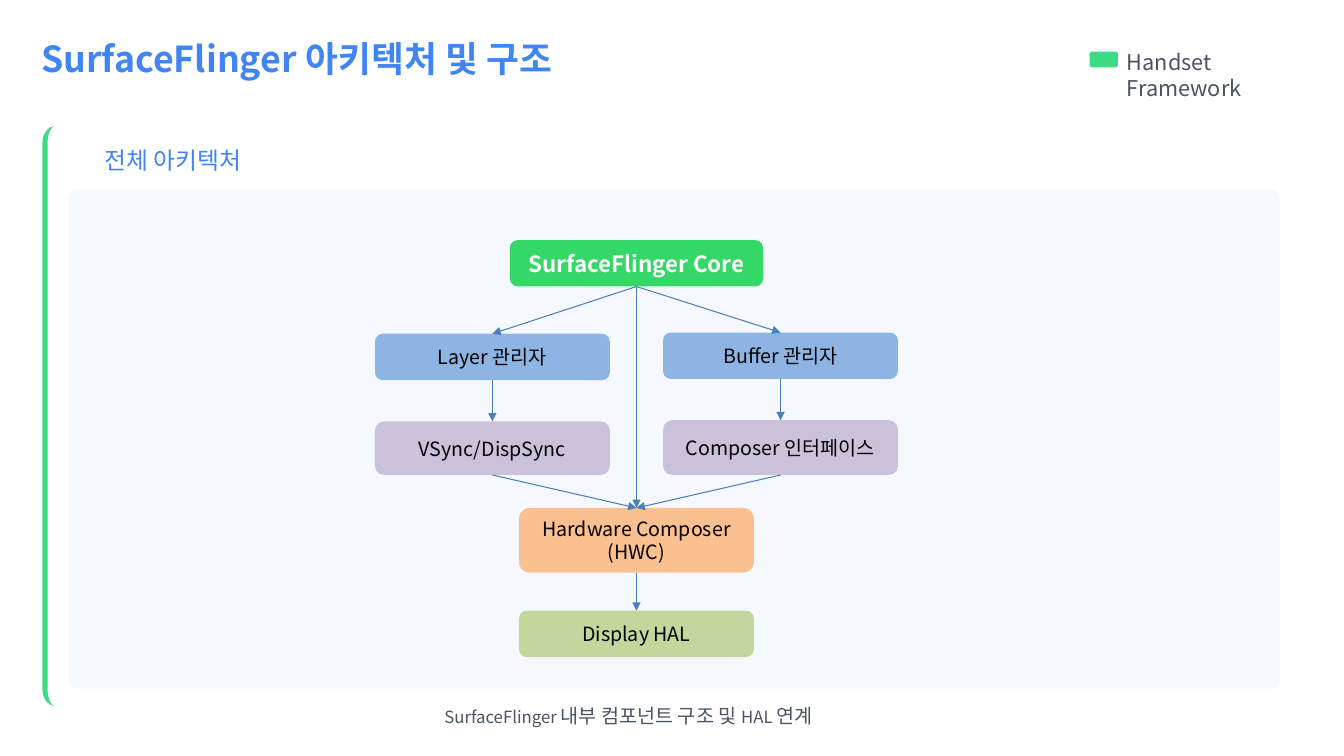
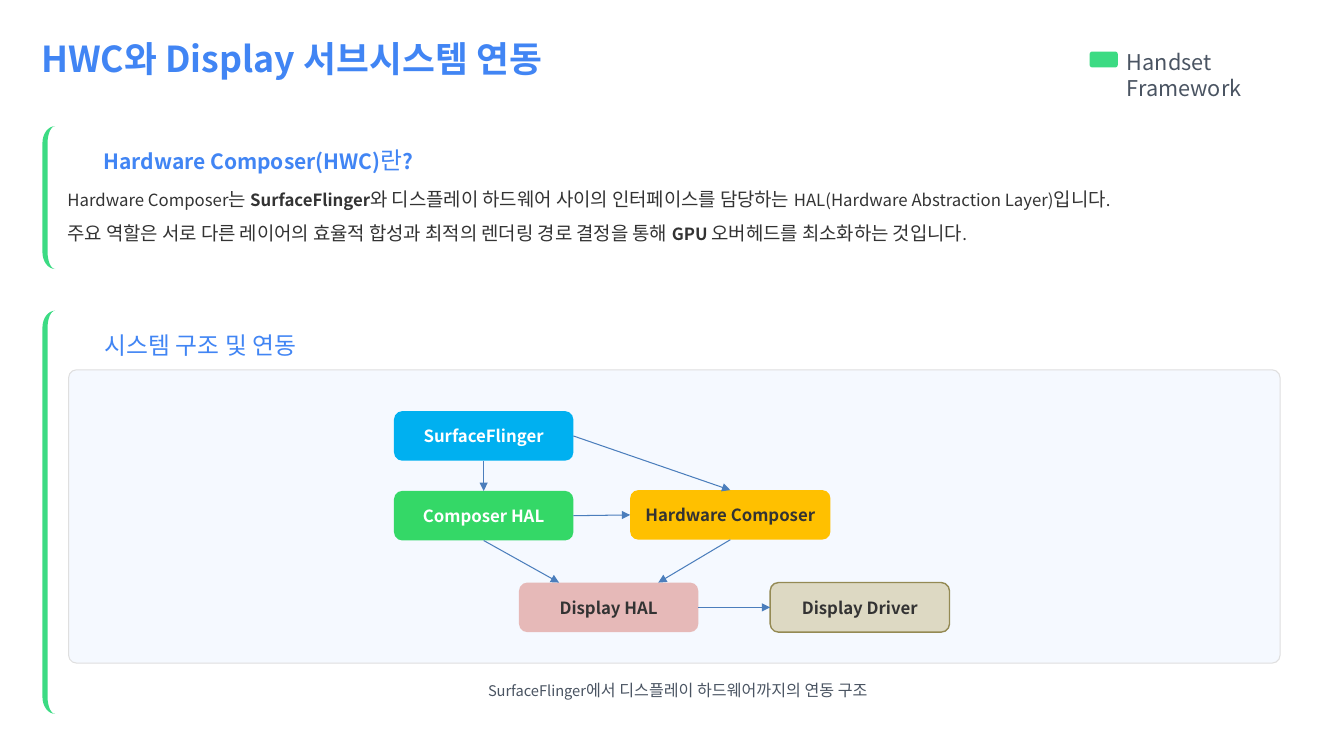
from dataclasses import dataclass
from math import cos, pi, sin
from typing import NamedTuple, Optional

from lxml import etree
from pptx import Presentation
from pptx.dml.color import RGBColor
from pptx.enum.shapes import MSO_CONNECTOR as Connector, MSO_SHAPE as Preset
from pptx.enum.text import MSO_ANCHOR as Anchor, PP_ALIGN as Align
from pptx.oxml.ns import qn
from pptx.shapes.autoshape import Shape
from pptx.slide import Slide
from pptx.util import Cm, Pt

FONT = "Noto Sans CJK KR"
BLUE = RGBColor(0x41, 0x85, 0xF4)
GREEN = RGBColor(0x3C, 0xDB, 0x83)
GRAY = RGBColor(0x4A, 0x54, 0x62)
DARK = RGBColor(0x33, 0x33, 0x33)
BLACK = RGBColor(0x00, 0x00, 0x00)
WHITE = RGBColor(0xFF, 0xFF, 0xFF)
PANEL = RGBColor(0xF5, 0xF9, 0xFF)
PANEL_LINE = RGBColor(0xDF, 0xDF, 0xDF)
ARROW_LINE = RGBColor(0x4B, 0x7E, 0xBC)
CORE = RGBColor(0x34, 0xD8, 0x67)
MANAGER = RGBColor(0x8E, 0xB4, 0xE3)
LILAC = RGBColor(0xCC, 0xC1, 0xDA)
ORANGE = RGBColor(0xFA, 0xC0, 0x90)
OLIVE = RGBColor(0xC3, 0xD6, 0x9B)
SKY = RGBColor(0x00, 0xB0, 0xF0)
AMBER = RGBColor(0xFF, 0xC0, 0x00)
ROSE = RGBColor(0xE6, 0xB9, 0xB8)
SAND = RGBColor(0xDD, 0xD9, 0xC3)
SAND_LINE = RGBColor(0x94, 0x8A, 0x54)

TOP, LEFT, BOTTOM, RIGHT = range(4)  # connection sites of a rounded rectangle


class Area(NamedTuple):
    """Left, top, width and height in centimetres."""
    left: float
    top: float
    width: float
    height: float

    def lengths(self) -> list[Cm]:
        return [Cm(value) for value in self]


class Run(NamedTuple):
    text: str
    size: float
    color: RGBColor
    bold: bool = False


@dataclass(frozen=True)
class Line:
    """One paragraph; indent in centimetres, space before in points."""
    runs: list[Run]
    indent: float = 0
    before: float = 0


@dataclass(frozen=True)
class Box:
    area: Area
    label: Run
    fill: RGBColor
    outline: Optional[RGBColor] = None


@dataclass(frozen=True)
class Arrow:
    """Link between two named boxes; shift moves its end off the centre of the top edge."""
    start: str
    end: str
    start_site: int = BOTTOM
    end_site: int = TOP
    shift: float = 0


def add_run(paragraph, run: Run) -> None:
    text_run = paragraph.add_run()
    text_run.text = run.text
    font = text_run.font
    for name, value in {"name": FONT, "size": Pt(run.size), "bold": run.bold}.items():
        setattr(font, name, value)
    font.color.rgb = run.color
    latin = text_run._r.rPr.find(qn("a:latin"))
    east_asian = etree.Element(qn("a:ea"), typeface=FONT)
    latin.addnext(east_asian)


def add_text(slide: Slide, area: Area, lines: list[Line]) -> None:
    frame = slide.shapes.add_textbox(*area.lengths()).text_frame
    settings = {"word_wrap": True, "margin_left": 0, "margin_right": 0,
                "margin_top": Cm(0.05), "margin_bottom": 0}
    for name, value in settings.items():
        setattr(frame, name, value)
    for index, line in enumerate(lines):
        paragraph = frame.add_paragraph() if index else frame.paragraphs[0]
        if line.indent:
            paragraph._p.get_or_add_pPr().set("marL", str(Cm(line.indent)))
        if line.before:
            paragraph.space_before = Pt(line.before)
        for run in line.runs:
            add_run(paragraph, run)


def paint(shape: Shape, fill: RGBColor, outline: Optional[RGBColor] = None,
          line_width: float = 1) -> None:
    shape.shadow.inherit = False
    shape.fill.solid()
    shape.fill.fore_color.rgb = fill
    if outline is None:
        shape.line.fill.background()
    else:
        shape.line.color.rgb = outline
        shape.line.width = Pt(line_width)


def add_rounded(slide: Slide, area: Area) -> Shape:
    return slide.shapes.add_shape(Preset.ROUNDED_RECTANGLE, *area.lengths())


def add_panel(slide: Slide, area: Area, outline: Optional[RGBColor] = None) -> None:
    panel = add_rounded(slide, area)
    panel.adjustments[0] = 0.2 / area.height
    paint(panel, PANEL, outline, 0.75)


def add_accent(slide: Slide, top: float, height: float) -> None:
    """Green bar at the left of a section, curling inwards at both ends."""
    left, reach, thickness, curl, steps = 1.07, 0.32, 0.13, 0.43, 8

    def side(edge: float, radius: float) -> list[tuple[int, int]]:
        angles = [pi / 2 * step / steps for step in range(steps + 1)]
        upper = [(edge + radius * (1 - sin(angle)), top + curl * (1 - cos(angle)))
                 for angle in angles]
        lower = [(x, 2 * top + height - y) for x, y in reversed(upper)]
        return [(Cm(x), Cm(y)) for x, y in upper + lower]

    outer = side(left, reach)
    inner = side(left + thickness, reach - thickness)
    builder = slide.shapes.build_freeform(*outer[0], scale=1.0)
    builder.add_line_segments(outer[1:] + inner[::-1], close=True)
    paint(builder.convert_to_shape(), GREEN)


def add_box(slide: Slide, box: Box) -> Shape:
    shape = add_rounded(slide, box.area)
    paint(shape, box.fill, box.outline)
    frame = shape.text_frame
    frame.word_wrap = True
    frame.vertical_anchor = Anchor.MIDDLE
    paragraph = frame.paragraphs[0]
    paragraph.alignment = Align.CENTER
    add_run(paragraph, box.label)
    return shape


def add_arrow(slide: Slide, arrow: Arrow, shapes: dict[str, Shape]) -> None:
    target = shapes[arrow.end]
    connector = slide.shapes.add_connector(Connector.STRAIGHT, 0, 0, 0, 0)
    connector.begin_connect(shapes[arrow.start], arrow.start_site)
    if arrow.shift:
        connector.end_x = target.left + target.width // 2 + Cm(arrow.shift)
        connector.end_y = target.top
    else:
        connector.end_connect(target, arrow.end_site)
    connector.line.color.rgb = ARROW_LINE
    connector.line.width = Pt(0.75)
    etree.SubElement(connector.line._get_or_add_ln(), qn("a:tailEnd"), type="triangle")
    etree.SubElement(connector._element.spPr, qn("a:effectLst"))


def add_diagram(slide: Slide, boxes: dict[str, Box], arrows: list[Arrow]) -> None:
    shapes = {name: add_box(slide, box) for name, box in boxes.items()}
    for arrow in arrows:
        add_arrow(slide, arrow, shapes)


def add_heading(slide: Slide, top: float, text: str) -> None:
    add_text(slide, Area(2.64, top, 8, 0.76), [Line([Run(text, 17, BLUE)])])


def add_base_slide(presentation, title: str) -> Slide:
    slide = presentation.slides.add_slide(presentation.slide_layouts[6])
    add_text(slide, Area(1.04, 0.89, 15.11, 1.14), [Line([Run(title, 25.5, BLUE, True)])])
    paint(add_rounded(slide, Area(27.46, 1.3, 0.71, 0.4)), GREEN)
    add_text(slide, Area(28.4, 1.17, 4.5, 1.37), [Line([Run("Handset Framework", 15.5, GRAY)])])
    return slide


def add_architecture(presentation) -> None:
    slide = add_base_slide(presentation, "SurfaceFlinger 아키텍처 및 구조")
    add_accent(slide, 3.18, 14.61)
    add_heading(slide, 3.61, "전체 아키텍처")
    add_panel(slide, Area(1.73, 4.78, 30.53, 12.57))

    left, middle, right, width, height = 9.45, 13.08, 16.71, 5.92, 1.17

    def part(x: float, y: float, text: str, fill: RGBColor, tall: float = height) -> Box:
        return Box(Area(x, y, width, tall), Run(text, 14, BLACK), fill)

    boxes = {
        "core": Box(Area(12.85, 6.05, 6.38, height),
                    Run("SurfaceFlinger Core", 16, WHITE, True), CORE),
        "layer": part(left, 8.41, "Layer 관리자", MANAGER),
        "buffer": part(right, 8.38, "Buffer 관리자", MANAGER),
        "vsync": part(left, 10.62, "VSync/DispSync", LILAC, 1.35),
        "composer": part(right, 10.59, "Composer 인터페이스", LILAC, 1.38),
        "hwc": part(middle, 12.8, "Hardware Composer (HWC)", ORANGE, 1.63),
        "hal": part(middle, 15.39, "Display HAL", OLIVE),
    }
    links = [("core", "hwc"), ("core", "layer"), ("core", "buffer"), ("layer", "vsync"),
             ("buffer", "composer"), ("vsync", "hwc"), ("composer", "hwc"), ("hwc", "hal")]
    add_diagram(slide, boxes, [Arrow(*link) for link in links])
    add_text(slide, Area(11.2, 17.68, 9.58, 0.86), [Line([
        Run("SurfaceFlinger ", 12, GRAY), Run("내부 컴포넌트 구조 및 ", 14, GRAY),
        Run("HAL ", 12, GRAY), Run("연계", 14, GRAY)])])


def add_integration(presentation) -> None:
    slide = add_base_slide(presentation, "HWC와 Display 서브시스템 연동")
    add_accent(slide, 3.18, 3.6)
    add_accent(slide, 7.83, 10.16)
    add_text(slide, Area(1.7, 3.61, 26.67, 2.57), [
        Line([Run("Hardware Composer(HWC)", 15, BLUE, True), Run("란", 17, BLUE),
              Run("?", 15, BLUE, True)], indent=0.91),
        Line([Run("Hardware Composer", 12, DARK), Run("는 ", 13.5, DARK),
              Run("SurfaceFlinger", 12, DARK, True),
              Run("와 디스플레이 하드웨어 사이의 인터페이스를 담당하는 ", 13.5, DARK),
              Run("HAL(Hardware Abstraction Layer)", 12, DARK),
              Run("입니다", 13.5, DARK), Run(".", 12, DARK)], before=10.1),
        Line([Run("주요 역할은 서로 다른 레이어의 효율적 합성과 최적의 렌더링 경로 결정을 통해 ",
                  13.5, DARK),
              Run("GPU ", 12, DARK, True), Run("오버헤드를 최소화하는 것입니다", 13.5, DARK),
              Run(".", 12, DARK)], before=7.8),
    ])
    add_heading(slide, 8.28, "시스템 구조 및 연동")
    add_panel(slide, Area(1.73, 9.32, 30.53, 7.39), PANEL_LINE)

    def part(x: float, y: float, text: str, fill: RGBColor, color: RGBColor = DARK,
             width: float = 4.52, outline: Optional[RGBColor] = None) -> Box:
        return Box(Area(x, y, width, 1.25), Run(text, 12, color, True), fill, outline)

    boxes = {
        "composer": part(9.93, 12.37, "Composer HAL", CORE, WHITE),
        "flinger": part(9.93, 10.36, "SurfaceFlinger", SKY, WHITE),
        "hwc": part(15.88, 12.35, "Hardware Composer", AMBER, width=5.05),
        "hal": part(13.08, 14.68, "Display HAL", ROSE),
        "driver": part(19.41, 14.68, "Display Driver", SAND, outline=SAND_LINE),
    }
    add_diagram(slide, boxes, [
        Arrow("flinger", "composer"),
        Arrow("flinger", "hwc", RIGHT),
        Arrow("composer", "hal", shift=-1.25),
        Arrow("hwc", "hal", shift=1.25),
        Arrow("composer", "hwc", RIGHT, LEFT),
        Arrow("hal", "driver", RIGHT, LEFT),
    ])
    add_text(slide, Area(12.3, 17.09, 10.97, 0.53), [Line([
        Run("SurfaceFlinger", 10.5, GRAY),
        Run("에서 디스플레이 하드웨어까지의 연동 구조", 11.5, GRAY)])])


def main() -> None:
    presentation = Presentation()
    presentation.slide_width = Cm(33.87)
    presentation.slide_height = Cm(19.05)
    add_architecture(presentation)
    add_integration(presentation)
    presentation.save("out.pptx")


if __name__ == "__main__":
    main()
